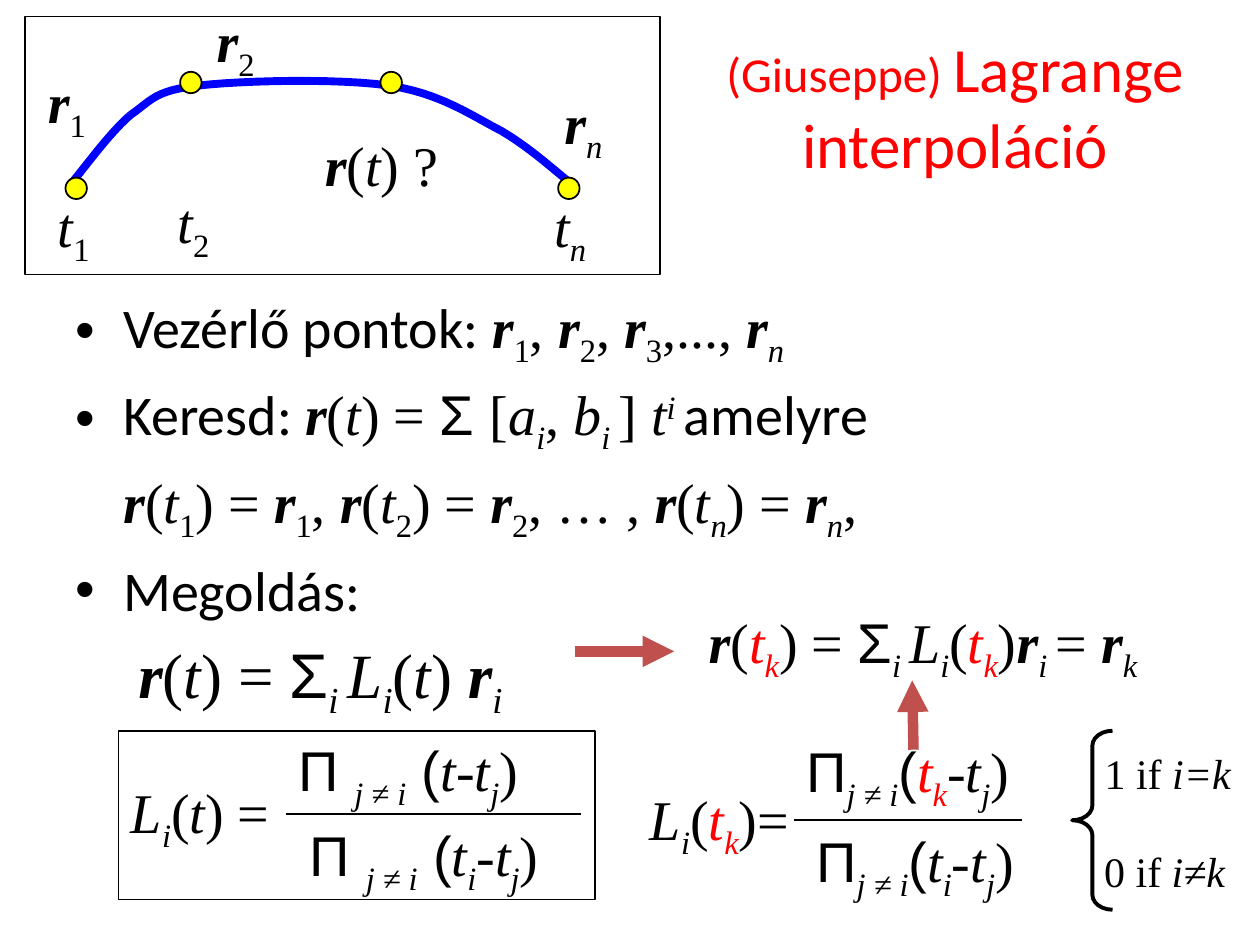
from dataclasses import dataclass, field
from lxml.etree import SubElement
from pptx import Presentation
from pptx.dml.color import RGBColor
from pptx.enum.shapes import MSO_CONNECTOR, MSO_SHAPE
from pptx.enum.text import MSO_ANCHOR, MSO_AUTO_SIZE, PP_ALIGN
from pptx.oxml.ns import qn
from pptx.util import Inches, Pt


@dataclass(frozen=True)
class Face:
    """Look of one kind of run."""
    font: str = "Times New Roman"
    bold: bool = False
    slant: bool = False
    base: int = 0
    color: str = "000000"


@dataclass(frozen=True)
class Theme:
    """Colours, type sizes and run styles of the deck."""
    ink: str = "000000"
    red: str = "FF0000"
    blue: str = "0000FF"
    gold: str = "FFFF00"
    brick: str = "C0504D"
    small: float = 24
    name: float = 27.9
    text: float = 32
    large: float = 36
    faces: dict = field(default_factory=lambda: {
        "P": Face(),
        "I": Face(slant=True),
        "V": Face(bold=True, slant=True),
        "N": Face(base=-25),
        "S": Face(slant=True, base=-25),
        "U": Face(slant=True, base=30),
        "A": Face("Arial"),
        "C": Face("Calibri"),
        "T": Face("Calibri", color=Theme.red),
        "R": Face(slant=True, color=Theme.red),
        "K": Face(slant=True, base=-25, color=Theme.red),
    })


class Board:
    """Draws on one slide, on a grid of 100 columns by 75 rows."""

    def __init__(self, deck, theme):
        """Add a blank slide and work out the grid unit."""
        self.theme = theme
        self.slide = deck.slides.add_slide(deck.slide_layouts[6])
        self.shapes = self.slide.shapes
        self.unit = deck.slide_width / 100

    def grid(self, *cells):
        """Turn grid cells into lengths."""
        return [round(cell * self.unit) for cell in cells]

    def runs(self, para, code, size):
        """Add runs split by bars, each led by its style letter."""
        for part in code.split("|"):
            face = self.theme.faces[part[0]]
            run = para.add_run()
            run.text = part[1:]
            font = run.font
            font.name, font.size = face.font, Pt(size)
            font.bold, font.italic = face.bold, face.slant
            font.color.rgb = RGBColor.from_string(face.color)
            if face.base:
                run._r.get_or_add_rPr().set("baseline", str(face.base * 1000))

    def label(self, col, row, wide, high, code, size=None, mid=True):
        """Add a one-line text that does not wrap."""
        frame = self.shapes.add_textbox(*self.grid(col, row, wide, high)).text_frame
        frame.word_wrap = False
        frame.auto_size = MSO_AUTO_SIZE.SHAPE_TO_FIT_TEXT
        para = frame.paragraphs[0]
        para.alignment = PP_ALIGN.CENTER if mid else PP_ALIGN.LEFT
        self.runs(para, code, size or self.theme.text)

    def title(self, col, row, wide, high, parts):
        """Add the wrapped, centred heading."""
        frame = self.shapes.add_textbox(*self.grid(col, row, wide, high)).text_frame
        frame.word_wrap = True
        frame.vertical_anchor = MSO_ANCHOR.MIDDLE
        para = frame.paragraphs[0]
        para.alignment = PP_ALIGN.CENTER
        for code, size in parts:
            self.runs(para, code, size)

    def body(self, col, row, wide, high, items):
        """Add the list; each item has a text, size, margin and bullet flag."""
        frame = self.shapes.add_textbox(*self.grid(col, row, wide, high)).text_frame
        frame.word_wrap = True
        for i, (code, size, left, dot) in enumerate(items):
            para = frame.add_paragraph() if i else frame.paragraphs[0]
            props = para._p.get_or_add_pPr()
            props.set("marL", str(Inches(left)))
            props.set("indent", str(-Inches(left) if dot else 0))
            gap = SubElement(props, qn("a:spcBef"))
            SubElement(gap, qn("a:spcPct")).set("val", "20000")
            if dot:
                SubElement(props, qn("a:buFont")).set("typeface", "Arial")
                SubElement(props, qn("a:buChar")).set("char", "•")
            self.runs(para, code, size)

    def paint(self, shape, fill, color, width):
        """Set fill and outline and drop the shadow."""
        shape.shadow.inherit = False
        if fill:
            shape.fill.solid()
            shape.fill.fore_color.rgb = RGBColor.from_string(fill)
        else:
            shape.fill.background()
        shape.line.color.rgb = RGBColor.from_string(color)
        shape.line.width = Pt(width)

    def shape(self, kind, col, row, wide, high, fill=None, width=1):
        """Add a preset shape."""
        item = self.shapes.add_shape(kind, *self.grid(col, row, wide, high))
        self.paint(item, fill, self.theme.ink, width)
        return item

    def dot(self, col, row, size=1.7):
        """Add a control point around its centre."""
        self.shape(MSO_SHAPE.OVAL, col - size / 2, row - size / 2, size, size,
                   self.theme.gold)

    def curve(self, start, arcs, steps=12):
        """Add an open outline through sampled cubic arcs."""
        points, a = [], start
        for b, c, d in arcs:
            for t in (n / steps for n in range(1, steps + 1)):
                s = 1 - t
                points.append(self.grid(*(
                    s**3 * p + 3 * s * s * t * q + 3 * s * t * t * u + t**3 * v
                    for p, q, u, v in zip(a, b, c, d))))
            a = d
        pen = self.shapes.build_freeform(*self.grid(*start))
        pen.add_line_segments(points, close=False)
        self.paint(pen.convert_to_shape(), None, self.theme.blue, 4.5)

    def line(self, x, y, u, v, color=None, width=1, arrow=False):
        """Add a straight line, with an arrowhead if asked."""
        item = self.shapes.add_connector(MSO_CONNECTOR.STRAIGHT, *self.grid(x, y, u, v))
        item.line.color.rgb = RGBColor.from_string(color or self.theme.ink)
        item.line.width = Pt(width)
        if arrow:
            SubElement(item.line._get_or_add_ln(), qn("a:tailEnd")).set("type", "triangle")
        SubElement(item._element.spPr, qn("a:effectLst"))


def main():
    """Build the slide and save it."""
    deck = Presentation()
    deck.slide_width, deck.slide_height = Inches(10), Inches(7.5)
    look = Theme()
    board = Board(deck, look)

    board.curve((5.7, 14.5), [
        ((6.5, 13.6), (8.8, 10.4), (10.4, 9.1)),
        ((12.1, 7.9), (12.3, 7.2), (15.7, 6.8)),
        ((19.1, 6.4), (26.8, 6.2), (30.9, 6.8)),
        ((34.9, 7.4), (37.3, 9.1), (39.8, 10.4)),
        ((42.2, 11.8), (44.3, 13.8), (45.5, 14.7))])
    board.title(51.6, 2.1, 48.4, 12.5, [
        ("T(Giuseppe) ", look.name), ("TLagrange interpoláció", look.large)])
    board.body(5, 22.7, 90, 49.5, [
        ("CVezérlő pontok: |Vr|N1|P, |Vr|N2|P, |Vr|N3|P,..., |Vr|Sn",
         look.text, 0.38, True),
        ("CKeresd: |Vr|P(|It|P) = |AΣ |P[|Ia|Si|P, |Ib|Si |P]|I t|Ui |Camelyre",
         look.text, 0.38, True),
        ("Vr|P(|It|N1|P) = |Vr|N1|P, |Vr|P(|It|N2|P) = |Vr|N2|P, … , "
         "|Vr|P(|It|Sn|P) = |Vr|Sn|P,", look.text, 0.38, False),
        ("CMegoldás:", look.text, 0.38, True),
        ("Vr|P(|It|P) = |AΣ|Si |IL|Si|P(|It|P) |Vr|Si", look.large, 0.5, False)])

    for spot in ((6.05, 14.95), (15.15, 6.55), (31.05, 6.55), (45.15, 14.95)):
        board.dot(*spot)
    for mark, x, y, u, v in (("N1", 2.7, 4.9, 3.5, 14.7), ("N2", 16.1, 0, 13, 14.4),
                             ("Sn", 43.7, 6.5, 42.9, 14.7)):
        board.label(x, y, 5.2, 6.3, f"Vr|{mark}")
        board.label(u, v, 4.7, 6.3, f"It|{mark}")
    board.label(24.8, 9.9, 11, 6.3, "Vr|P(|It|P) ?")
    board.shape(MSO_SHAPE.RECTANGLE, 2, 1.3, 50.4, 20.5)

    board.label(9.4, 61.2, 13.1, 6.3, "IL|Si|P(|It|P) =", mid=False)
    board.label(22.7, 57.9, 20.3, 6.3, "AΠ |Sj ≠ i|A (|It-t|Sj|P)", mid=False)
    board.label(23.6, 64.6, 21.1, 6.3, "AΠ |Sj ≠ i|A (|It|Si|I-t|Sj|P)", mid=False)
    board.line(22.7, 64.6, 46.1, 64.6)
    board.shape(MSO_SHAPE.RECTANGLE, 9.4, 58, 37.8, 13.4)

    board.label(50.4, 61.8, 13.4, 6.4, "IL|Si|P(|Rt|Kk|P)=")
    board.label(86.6, 58.8, 13, 5.1, "P1 if|I i=k ", look.small)
    board.label(86.6, 66.6, 12.5, 5.1, "P0 if|I i≠k ", look.small)
    brace = board.shape(MSO_SHAPE.LEFT_BRACE, 85.1, 58, 3.2, 14.2, width=2.25)
    brace.adjustments[0] = 0.37
    board.label(54.3, 47.7, 37.9, 6.4,
                "Vr|P(|Rt|Kk|P) = |AΣ|Si |IL|Si|P(|Rt|Kk|P)|Vr|Si |P= |Vr|Sk")
    board.line(72.5, 59.5, 72.4, 54, look.brick, 6, True)
    board.line(45.6, 51.7, 53.5, 51.7, look.brick, 6, True)
    board.label(63, 58, 19.4, 6.4, "AΠ|Sj ≠ i|A(|Rt|Kk|I-t|Sj|P)", mid=False)
    board.label(63.8, 65.1, 19.4, 6.4, "AΠ|Sj ≠ i|A(|It|Si|I-t|Sj|P)", mid=False)
    board.line(63, 65.1, 81.1, 65.1)

    deck.save("out.pptx")


if __name__ == "__main__":
    main()
